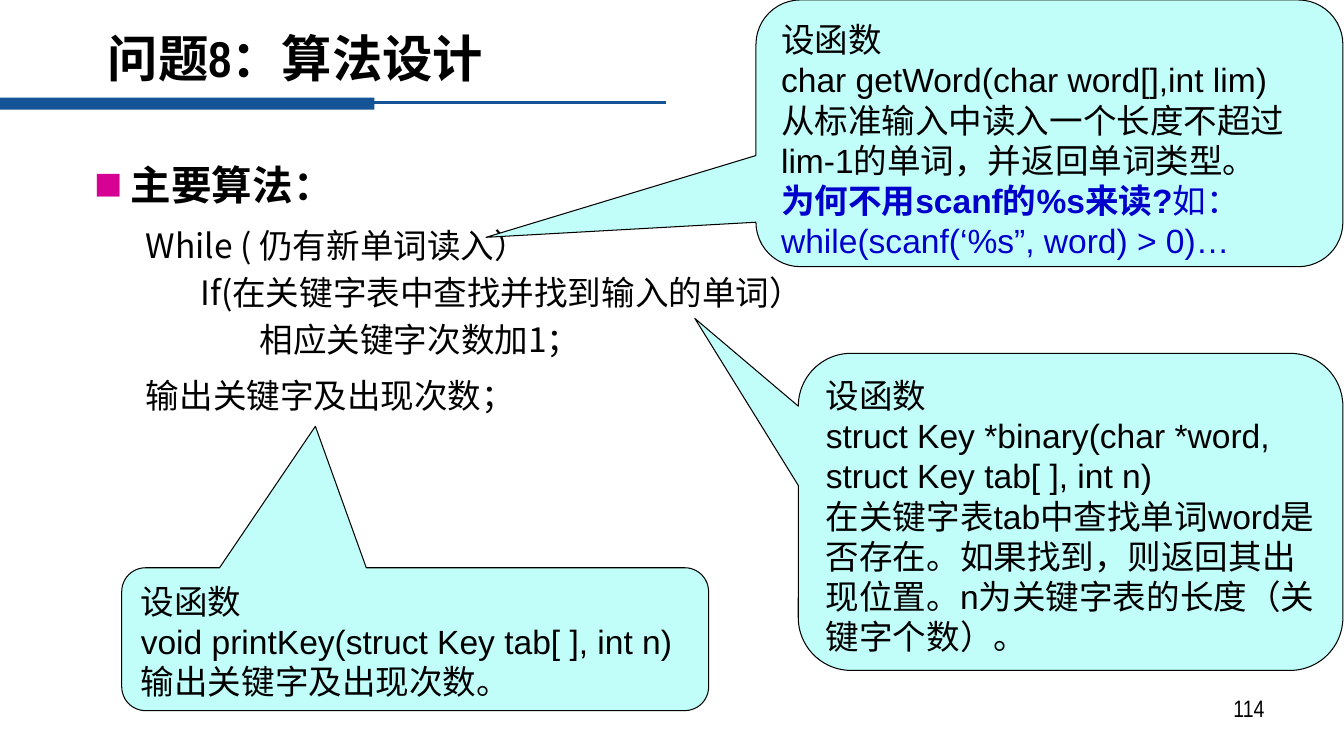
from lxml import etree
from pptx import Presentation
from pptx.dml.color import RGBColor
from pptx.enum.shapes import MSO_CONNECTOR, MSO_SHAPE
from pptx.enum.text import MSO_ANCHOR, PP_ALIGN
from pptx.oxml.ns import qn
from pptx.util import Inches, Pt

RECTANGLE = MSO_SHAPE.RECTANGLE
CALLOUT = MSO_SHAPE.ROUNDED_RECTANGULAR_CALLOUT
STRAIGHT = MSO_CONNECTOR.STRAIGHT
TOP, MIDDLE = MSO_ANCHOR.TOP, MSO_ANCHOR.MIDDLE
LEFT, RIGHT = PP_ALIGN.LEFT, PP_ALIGN.RIGHT

COLORS = {
    "bar": "145396",
    "text": "000000",
    "bullet": "D60093",
    "callout": "C1FEF9",
    "question": "0000CC",
}
CHINESE_FONT = "Noto Sans CJK SC"
NARROW_FONT = "Arial Narrow"
CALLOUT_FONT = "Arial"
CODE_SIZE = 24
CODE_LINE = Pt(28.8)
TIGHT_LINE = Pt(25.9)
HEADING_LINE = Pt(31.3)


def color(name):
    return RGBColor.from_string(COLORS[name])


class SlideBuilder:
    """Places elements by percentages of the slide's width and height."""

    def __init__(self, presentation):
        self.width = presentation.slide_width
        self.height = presentation.slide_height
        self.slide = presentation.slides.add_slide(presentation.slide_layouts[6])

    def place(self, x, y):
        return int(self.width * x / 100), int(self.height * y / 100)

    def box(self, x, y, width, height):
        return self.place(x, y) + self.place(width, height)

    def frame(self, shape, anchor=TOP):
        frame = shape.text_frame
        frame.word_wrap = True
        frame.vertical_anchor = anchor
        frame.margin_left = frame.margin_right = Inches(0.12)
        frame.margin_top = frame.margin_bottom = Inches(0.06)
        return frame

    def text_box(self, area, anchor=TOP):
        return self.frame(self.slide.shapes.add_textbox(*self.box(*area)), anchor)

    def shape(self, kind, area, fill):
        shape = self.slide.shapes.add_shape(kind, *self.box(*area))
        shape.shadow.inherit = False
        shape.fill.solid()
        shape.fill.fore_color.rgb = color(fill)
        shape.line.fill.background()
        return shape

    def rule(self, start, end, line_color, weight):
        connector = self.slide.shapes.add_connector(
            STRAIGHT, *self.place(*start), *self.place(*end))
        connector.line.color.rgb = color(line_color)
        connector.line.width = Pt(weight)
        etree.SubElement(connector._element.spPr, qn("a:effectLst"))

    def paragraph(self, frame, first, line_spacing=1.0, before=0,
                  align=LEFT, indent=0, hanging=0, bullet=False):
        paragraph = frame.paragraphs[0] if first else frame.add_paragraph()
        paragraph.alignment = align
        paragraph.line_spacing = line_spacing
        if not first:
            paragraph.space_before = Pt(before)
        properties = paragraph._p.get_or_add_pPr()
        properties.set("marL", str(Inches(indent)))
        properties.set("indent", str(Inches(-hanging)))
        if bullet:
            bullet_color = etree.SubElement(properties, qn("a:buClr"))
            etree.SubElement(bullet_color, qn("a:srgbClr"), val=COLORS["bullet"])
            etree.SubElement(properties, qn("a:buSzPct"), val="70000")
            etree.SubElement(properties, qn("a:buFont"), typeface=CHINESE_FONT)
            etree.SubElement(properties, qn("a:buChar"), char="■")
        return paragraph

    def run(self, paragraph, text, font, size, bold=False, text_color="text"):
        run = paragraph.add_run()
        run.text = text
        run.font.name = font
        run.font.size = Pt(size)
        run.font.bold = bold
        run.font.color.rgb = color(text_color)
        etree.SubElement(run._r.get_or_add_rPr(), qn("a:ea"), typeface=CHINESE_FONT)

    def callout(self, area, tip, lines):
        shape = self.shape(CALLOUT, area, "callout")
        shape.line.color.rgb = color("text")
        shape.line.width = Pt(0.75)
        shape.adjustments[0], shape.adjustments[1] = tip
        frame = self.frame(shape)
        for index, runs in enumerate(lines):
            paragraph = self.paragraph(frame, index == 0, CODE_LINE)
            for text, text_color, bold in runs:
                self.run(paragraph, text, CALLOUT_FONT, CODE_SIZE, bold, text_color)


def plain(*lines):
    return [[(line, "text", False)] for line in lines]


# Algorithm steps: text, line spacing, space before, indent
STEPS = [
    ("While ( 仍有新单词读入）", TIGHT_LINE, 14.4, 0.51),
    ("If(在关键字表中查找并找到输入的单词）", CODE_LINE, 4.8, 1.05),
    ("相应关键字次数加1；", CODE_LINE, 4.8, 1.64),
    ("输出关键字及出现次数；", TIGHT_LINE, 14.4, 0.51),
]

# Callouts: area, tip, lines
CALLOUTS = [
    ((56.25, 0, 43.67, 35.33), (-0.96, 0.39),
     plain("设函数", "char getWord(char word[],int lim)",
           "从标准输入中读入一个长度不超过lim-1的单词，并返回单词类型。")
     + [[("为何不用scanf的%s来读?", "question", True), ("如：", "question", False)],
        [("while(scanf(‘%s”, word) > 0)…", "question", False)]]),
    ((59.4, 46.8, 40.52, 42), (-0.69, -0.61),
     plain("设函数", "struct Key *binary(char *word, struct Key tab[ ], int n)",
           "在关键字表tab中查找单词word是否存在。如果找到，则返回其出现位置。"
           "n为关键字表的长度（关键字个数）。")),
    ((9.06, 75.2, 43.67, 18.93), (-0.17, -1.49),
     plain("设函数", "void printKey(struct Key tab[ ], int n)",
           "输出关键字及出现次数。")),
]


def main():
    presentation = Presentation()
    presentation.slide_width = Inches(13.35)
    presentation.slide_height = Inches(7.5)
    builder = SlideBuilder(presentation)

    # Header bar and rule
    builder.shape(RECTANGLE, (0, 12.93, 27.87, 1.6), "bar")
    builder.rule((27.57, 13.6), (49.59, 13.6), "bar", 2.25)

    # Slide number
    number = builder.text_box((71.69, 91.07, 23.3, 6.93))
    builder.run(builder.paragraph(number, True, align=RIGHT), "114", NARROW_FONT, 17)

    # Title
    title = builder.text_box((7.12, 2.27, 89.51, 12.27), MIDDLE)
    builder.run(builder.paragraph(title, True, 0.8), "问题8：算法设计",
                NARROW_FONT, 36, True)

    # Main algorithm
    body = builder.text_box((6.14, 21.07, 86.29, 66.4))
    heading = builder.paragraph(body, True, HEADING_LINE, indent=0.36,
                                hanging=0.36, bullet=True)
    builder.run(heading, "主要算法：", NARROW_FONT, 29, True)
    for text, line_spacing, before, indent in STEPS:
        step = builder.paragraph(body, False, line_spacing, before, indent=indent)
        builder.run(step, text, CHINESE_FONT, CODE_SIZE)

    # Function callouts
    for area, tip, lines in CALLOUTS:
        builder.callout(area, tip, lines)

    presentation.save("out.pptx")


if __name__ == "__main__":
    main()
